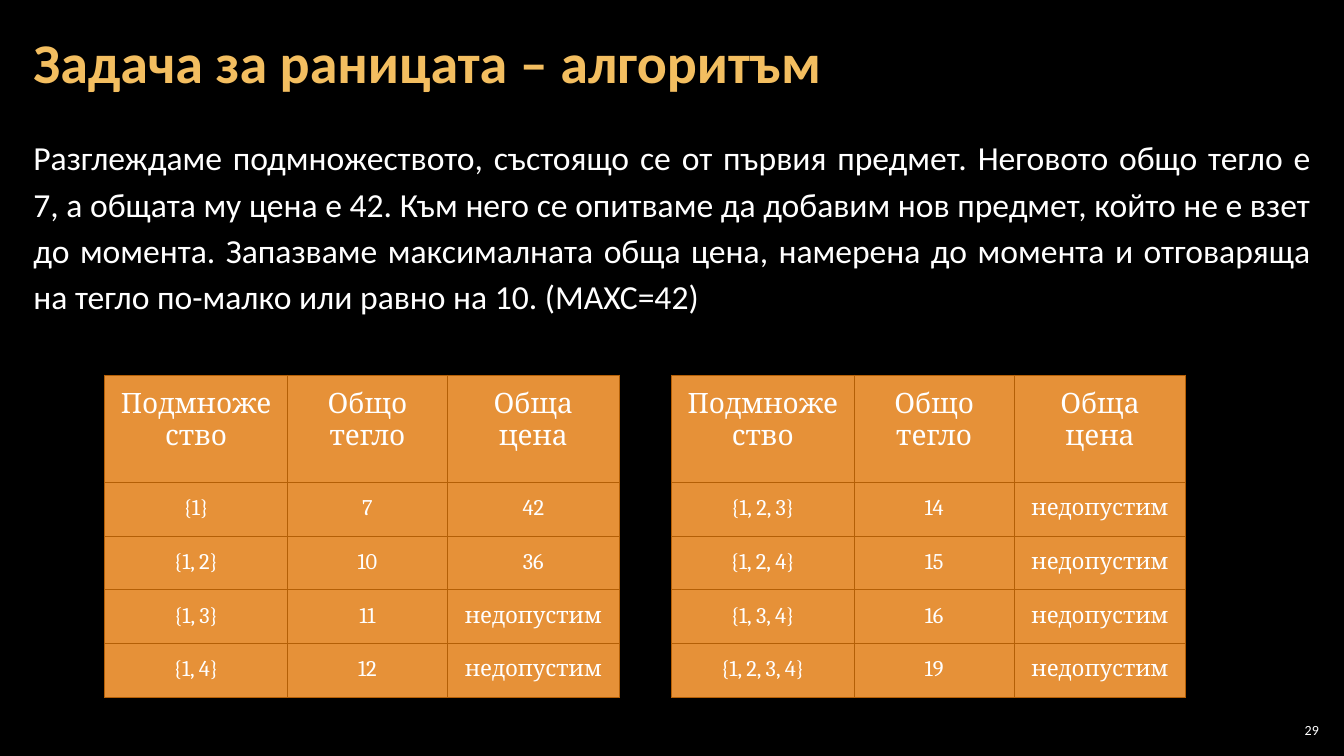
import dataclasses
import itertools

import lxml.etree
import pptx
import pptx.dml.color
import pptx.enum.text
import pptx.oxml.ns
import pptx.presentation
import pptx.shapes.base
import pptx.slide
import pptx.table
import pptx.text.text
import pptx.util

Align = pptx.enum.text.PP_ALIGN
Anchor = pptx.enum.text.MSO_ANCHOR

COLORS = {
    "background": "000000",
    "title": "F3BE60",
    "text": "FFFFFF",
    "cell": "E69138",
    "border": "B45F06",
}
PAGE_WIDTH = pptx.util.Inches(13.33)
PAGE_HEIGHT = pptx.util.Inches(7.5)

# Shares of the slide's width and height, in percent
COLUMN_SHARES = (13.58, 11.93, 12.75)
ROW_SHARE = 7.11
TABLE_TOP = 49.6
CELL_INSET = pptx.util.Inches(0.13)

HEADINGS = ("Подмножество", "Общо тегло", "Обща цена")
INVALID = "недопустим"
BODY_TEXT = (
    "Разглеждаме подмножеството, състоящо се от първия предмет. Неговото общо "
    "тегло е 7, а общата му цена е 42. Към него се опитваме да добавим нов "
    "предмет, който не е взет до момента. Запазваме максималната обща цена, "
    "намерена до момента и отговаряща на тегло по-малко или равно на 10. (MAXC=42)"
)


@dataclasses.dataclass(frozen=True)
class Area:
    """A rectangle in percent of the slide's size."""
    left: float
    top: float
    width: float
    height: float

    def lengths(self) -> tuple[int, int, int, int]:
        return (across(self.left), down(self.top), across(self.width), down(self.height))


@dataclasses.dataclass(frozen=True)
class TextStyle:
    size: int
    font: str = "Calibri"
    color: str = "text"
    bold: bool = False
    align: Align = Align.LEFT
    line_spacing: float = 1.0


@dataclasses.dataclass(frozen=True)
class SubsetTable:
    left: float
    rows: tuple[tuple[str, str, str], ...]


TITLE_STYLE = TextStyle(40, color="title", bold=True, line_spacing=0.9)
BODY_STYLE = TextStyle(24, align=Align.JUSTIFY, line_spacing=1.15)
NUMBER_STYLE = TextStyle(10, align=Align.RIGHT)
HEADING_STYLE = TextStyle(20, font="Cambria", align=Align.CENTER)
VALUE_STYLE = TextStyle(16, font="Cambria", align=Align.CENTER)

SUBSET_TABLES = (
    SubsetTable(7.8, (
        ("{1}", "7", "42"),
        ("{1, 2}", "10", "36"),
        ("{1, 3}", "11", INVALID),
        ("{1, 4}", "12", INVALID),
    )),
    SubsetTable(49.96, (
        ("{1, 2, 3}", "14", INVALID),
        ("{1, 2, 4}", "15", INVALID),
        ("{1, 3, 4}", "16", INVALID),
        ("{1, 2, 3, 4}", "19", INVALID),
    )),
)


def across(share: float) -> int:
    return round(PAGE_WIDTH * share / 100)


def down(share: float) -> int:
    return round(PAGE_HEIGHT * share / 100)


def rgb(name: str) -> pptx.dml.color.RGBColor:
    return pptx.dml.color.RGBColor.from_string(COLORS[name])


def write(frame: pptx.text.text.TextFrame, text: str, style: TextStyle) -> None:
    para = frame.paragraphs[0]
    para.alignment = style.align
    para.line_spacing = style.line_spacing
    para.space_before = pptx.util.Pt(0)
    span = para.add_run()
    span.text = text
    span.font.name = style.font
    span.font.size = pptx.util.Pt(style.size)
    span.font.bold = style.bold
    span.font.color.rgb = rgb(style.color)


def fill_box(box: pptx.shapes.base.BaseShape, area: Area, text: str,
             style: TextStyle, anchor: Anchor, side_inset: float) -> None:
    box.left, box.top, box.width, box.height = area.lengths()
    frame = box.text_frame
    frame.word_wrap = True
    frame.auto_size = pptx.enum.text.MSO_AUTO_SIZE.NONE
    frame.vertical_anchor = anchor
    frame.margin_left = frame.margin_right = pptx.util.Inches(side_inset)
    frame.margin_top = frame.margin_bottom = pptx.util.Inches(0.04)
    write(frame, text, style)


def remove_bullet(para: pptx.text.text._Paragraph) -> None:
    properties = para._p.get_or_add_pPr()
    properties.set("marL", "0")
    properties.set("indent", "0")
    lxml.etree.SubElement(properties, pptx.oxml.ns.qn("a:buNone"))


def outline_cell(cell: pptx.table._Cell) -> None:
    properties = cell._tc.get_or_add_tcPr()
    for position, side in enumerate(("lnL", "lnR", "lnT", "lnB")):
        line = lxml.etree.Element(pptx.oxml.ns.qn(f"a:{side}"), w=str(pptx.util.Pt(0.75)))
        fill = lxml.etree.SubElement(line, pptx.oxml.ns.qn("a:solidFill"))
        lxml.etree.SubElement(fill, pptx.oxml.ns.qn("a:srgbClr"), val=COLORS["border"])
        properties.insert(position, line)


def draw_table(page: pptx.slide.Slide, subset: SubsetTable) -> None:
    contents = (HEADINGS, *subset.rows)
    heights = (2 * ROW_SHARE, *itertools.repeat(ROW_SHARE, len(subset.rows)))
    area = Area(subset.left, TABLE_TOP, sum(COLUMN_SHARES), sum(heights))
    table = page.shapes.add_table(len(contents), len(HEADINGS), *area.lengths()).table
    table.first_row = table.horz_banding = False
    for column, share in zip(table.columns, COLUMN_SHARES):
        column.width = across(share)
    for row, share, texts in zip(table.rows, heights, contents):
        row.height = down(share)
        style = HEADING_STYLE if texts is HEADINGS else VALUE_STYLE
        for cell, text in zip(row.cells, texts):
            cell.margin_left = cell.margin_right = CELL_INSET
            cell.margin_top = cell.margin_bottom = CELL_INSET
            cell.fill.solid()
            cell.fill.fore_color.rgb = rgb("cell")
            outline_cell(cell)
            write(cell.text_frame, text, style)


def main() -> None:
    deck = pptx.Presentation()
    deck.slide_width, deck.slide_height = PAGE_WIDTH, PAGE_HEIGHT
    page = deck.slides.add_slide(deck.slide_layouts[1])
    page.background.fill.solid()
    page.background.fill.fore_color.rgb = rgb("background")

    body = page.placeholders[1]
    remove_bullet(body.text_frame.paragraphs[0])
    fill_box(body, Area(1.58, 16.8, 96.85, 81.2), BODY_TEXT, BODY_STYLE, Anchor.TOP, 0.12)
    fill_box(page.shapes.title, Area(1.58, 0.53, 96.85, 16.13),
             "Задача за раницата – алгоритъм", TITLE_STYLE, Anchor.MIDDLE, 0.12)
    for subset in SUBSET_TABLES:
        draw_table(page, subset)
    number_area = Area(94.9, 95.2, 3.53, 2.8)
    number = page.shapes.add_textbox(*number_area.lengths())
    fill_box(number, number_area, "29", NUMBER_STYLE, Anchor.MIDDLE, 0.04)
    deck.save("out.pptx")


if __name__ == "__main__":
    main()
